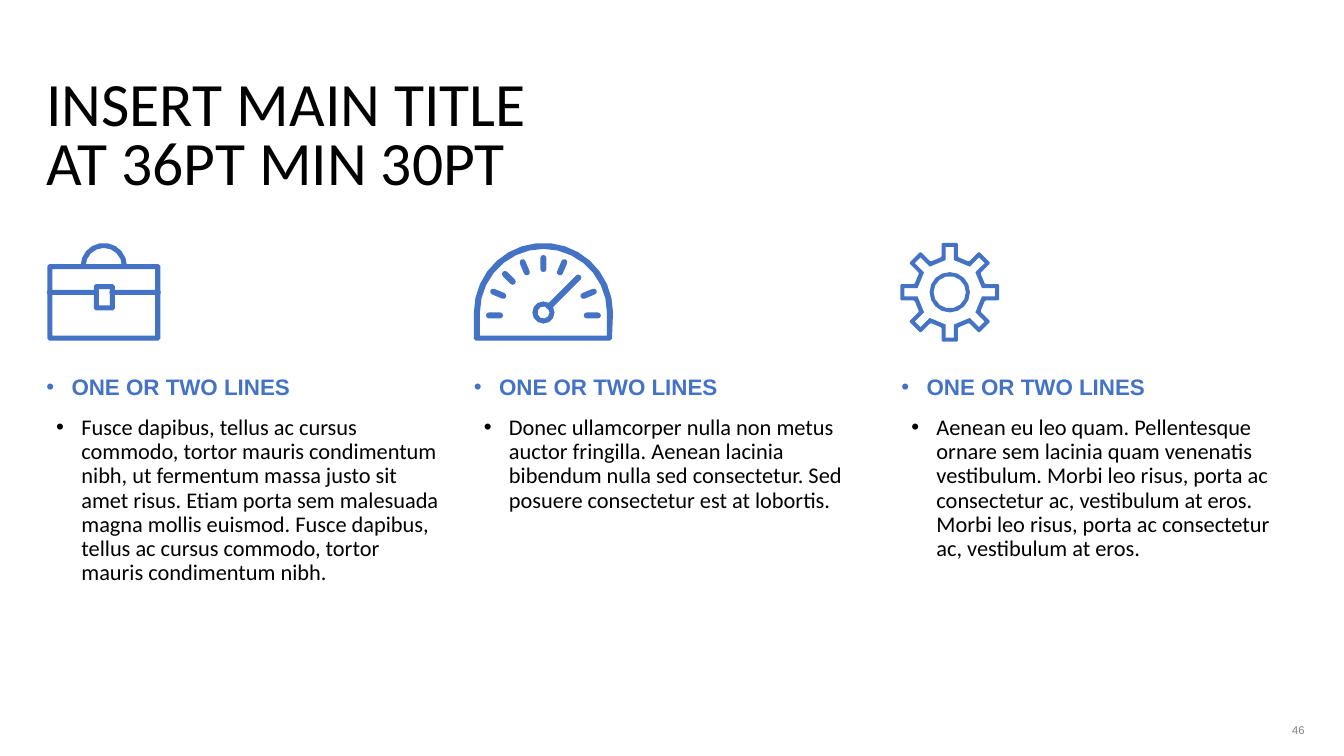
from dataclasses import dataclass
from math import cos, dist, radians, sin, sqrt

from lxml.etree import SubElement
from pptx import Presentation
from pptx.dml.color import RGBColor
from pptx.enum.text import MSO_ANCHOR, MSO_AUTO_SIZE, PP_ALIGN
from pptx.oxml.ns import qn
from pptx.shapes.group import GroupShape
from pptx.slide import Slide
from pptx.text.text import TextFrame
from pptx.util import Inches, Pt

BLUE = RGBColor(0x44, 0x72, 0xC4)
BLACK = RGBColor(0x00, 0x00, 0x00)

Point = tuple[float, float]
Contour = list[Point]

LEFT, PITCH, COLUMN_WIDTH = 0.46, 4.24, 4
HEADING = "ONE OR TWO LINES"


@dataclass
class TextStyle:
    font: str
    size: float
    color: RGBColor
    bold: bool = False


TITLE_STYLE = TextStyle("Calibri", 44, BLACK)
HEADING_STYLE = TextStyle("Arial", 16, BLUE, True)
BODY_STYLE = TextStyle("Calibri", 16, BLACK)
NUMBER_STYLE = TextStyle("Arial", 8, BLACK)

BODIES = [
    "Fusce dapibus, tellus ac cursus commodo, tortor mauris condimentum nibh, "
    "ut fermentum massa justo sit amet risus. Etiam porta sem malesuada magna "
    "mollis euismod. Fusce dapibus, tellus ac cursus commodo, tortor mauris "
    "condimentum nibh.",
    "Donec ullamcorper nulla non metus auctor fringilla. Aenean lacinia bibendum "
    "nulla sed consectetur. Sed posuere consectetur est at lobortis.",
    "Aenean eu leo quam. Pellentesque ornare sem lacinia quam venenatis vestibulum. "
    "Morbi leo risus, porta ac consectetur ac, vestibulum at eros. Morbi leo risus, "
    "porta ac consectetur ac, vestibulum at eros.",
]


def polar(center: Point, radius: float, angle: float) -> Point:
    """Point at an angle in degrees, counted anticlockwise from the right."""
    a = radians(angle)
    return center[0] + radius * cos(a), center[1] - radius * sin(a)


def arc(center: Point, radius: float, start: float, end: float) -> Contour:
    """Points along an arc, more of them where it is longer."""
    steps = max(4, round(abs(end - start) * sqrt(radius) / 10))
    return [polar(center, radius, start + (end - start) * i / steps) for i in range(steps + 1)]


def ring(center: Point, outer: float, inner: float) -> list[Contour]:
    return [arc(center, outer, 0, 360), arc(center, inner, 360, 0)]


def chamfered(corners: Contour, cut: float = 0.02) -> Contour:
    points = []
    for i, (x, y) in enumerate(corners):
        for nx, ny in (corners[i - 1], corners[(i + 1) % len(corners)]):
            share = cut / dist((x, y), (nx, ny))
            points.append((x + (nx - x) * share, y + (ny - y) * share))
    return points


def frame(left: float, top: float, right: float, bottom: float) -> list[Contour]:
    """Rectangle with cut corners and a wall of 0.05 inch."""
    d = 0.05
    outer = [(left, top), (right, top), (right, bottom), (left, bottom)]
    inner = [(left + d, top + d), (left + d, bottom - d),
             (right - d, bottom - d), (right - d, top + d)]
    return [chamfered(outer), inner]


def bar(center: Point, angle: float, start: float, end: float, width: float = 0.06) -> Contour:
    """Round-ended bar running outwards from a center."""
    return (arc(polar(center, end, angle), width / 2, angle - 90, angle + 90)
            + arc(polar(center, start, angle), width / 2, angle + 90, angle + 270))


def draw_part(group: GroupShape, *contours: Contour) -> None:
    emu = [[(Inches(x), Inches(y)) for x, y in contour] for contour in contours]
    fb = group.shapes.build_freeform(*emu[0][0], scale=1.0)
    fb.add_line_segments(emu[0][1:], close=True)
    for contour in emu[1:]:
        fb.move_to(*contour[0])
        fb.add_line_segments(contour[1:], close=True)
    sp = fb.convert_to_shape()
    sp.shadow.inherit = False
    sp.fill.solid()
    sp.fill.fore_color.rgb = BLUE
    sp.line.fill.background()


def draw_briefcase(group: GroupShape) -> None:
    middle = (1.03, 2.9)
    for angle in (0, 180):
        draw_part(group, bar(middle, angle, 0.08, 0.54, 0.05))
    draw_part(group, *frame(0.47, 2.62, 1.59, 3.38))
    draw_part(group, *frame(0.93, 2.82, 1.14, 3.08))
    handle = (1.03, 2.64)
    draw_part(group, arc(handle, 0.23, 0, 180) + arc(handle, 0.18, 180, 0))


def draw_gauge(group: GroupShape) -> None:
    hub = (5.39, 3.1)
    draw_part(group, *ring(hub, 0.11, 0.06))
    draw_part(group, bar(hub, 45, 0.08, 0.49))
    for step in (0, 1, 3, 4, 5, 6, 7, 8):
        center = (hub[0], 3.13) if step in (0, 8) else hub
        draw_part(group, bar(center, step * 22.5, 0.43, 0.54))
    base = [(4.7, 3.36), (4.72, 3.38), (6.05, 3.38), (6.07, 3.36)]
    inner = arc(hub, 0.63, 180, 0) + [(6.02, 3.33), (4.76, 3.33)]
    draw_part(group, base + arc(hub, 0.69, 0, 180), inner)


def gear_outline(center: Point, root: float, tip: float, half: float) -> Contour:
    x, y = center
    points = []
    for tooth in range(8):
        a = radians(45 * tooth)
        for along, across in ((root, -half), (tip, -half), (tip, half), (root, half)):
            points.append((x + along * cos(a) - across * sin(a),
                           y + along * sin(a) + across * cos(a)))
    return points


def draw_gear(group: GroupShape) -> None:
    center = (9.42, 2.9)
    outer = chamfered(gear_outline(center, 0.35, 0.49, 0.08), 0.01)
    draw_part(group, outer, gear_outline(center, 0.32, 0.45, 0.04)[::-1])
    draw_part(group, *ring(center, 0.2, 0.16))


def format_frame(tf: TextFrame, anchor: MSO_ANCHOR, inset_x: float, inset_y: float) -> None:
    tf.word_wrap = True
    tf.auto_size = MSO_AUTO_SIZE.NONE
    tf.vertical_anchor = anchor
    tf.margin_left = tf.margin_right = Inches(inset_x)
    tf.margin_top = tf.margin_bottom = Inches(inset_y)


def add_run(p, text: str, style: TextStyle):
    r = p.add_run()
    r.text = text
    r.font.name = style.font
    r.font.size = Pt(style.size)
    r.font.bold = style.bold
    r.font.color.rgb = style.color
    return r


def add_bullet(slide: Slide, left: float, top: float, height: float, text: str,
               style: TextStyle, anchor: MSO_ANCHOR, inset_x: float, inset_y: float) -> None:
    box = slide.shapes.add_textbox(Inches(left), Inches(top), Inches(COLUMN_WIDTH), Inches(height))
    format_frame(box.text_frame, anchor, inset_x, inset_y)
    p = box.text_frame.paragraphs[0]
    p.line_spacing = 0.9
    p.space_before = Pt(10)
    pPr = p._p.get_or_add_pPr()
    pPr.set("marL", str(Inches(0.25)))
    pPr.set("indent", str(-Inches(0.25)))
    SubElement(pPr, qn("a:buFont")).set("typeface", "Arial")
    SubElement(pPr, qn("a:buChar")).set("char", "•")
    add_run(p, text, style)


def add_title(slide: Slide) -> None:
    title = slide.shapes.title
    title.left, title.top = Inches(0.46), Inches(0.32)
    title.width, title.height = Inches(8.01), Inches(1.64)
    format_frame(title.text_frame, MSO_ANCHOR.BOTTOM, 0, 0)
    p = title.text_frame.paragraphs[0]
    p.alignment = PP_ALIGN.LEFT
    p.line_spacing = 0.8
    add_run(p, "INSERT MAIN TITLE", TITLE_STYLE)
    p.add_line_break()
    add_run(p, "AT 36PT MIN 30PT", TITLE_STYLE)


def add_page_number(slide: Slide) -> None:
    box = slide.shapes.add_textbox(Inches(12.7), Inches(7.15), Inches(0.24), Inches(0.18))
    format_frame(box.text_frame, MSO_ANCHOR.MIDDLE, 0, 0.07)
    p = box.text_frame.paragraphs[0]
    p.alignment = PP_ALIGN.RIGHT
    r = add_run(p, "46", NUMBER_STYLE)
    color = r._r.get_or_add_rPr().find(".//" + qn("a:srgbClr"))
    SubElement(color, qn("a:alpha")).set("val", "50000")


def main() -> None:
    prs = Presentation()
    prs.slide_width, prs.slide_height = Inches(13.33), Inches(7.5)
    slide = prs.slides.add_slide(prs.slide_layouts[5])
    add_title(slide)
    for i, body in enumerate(BODIES):
        left = LEFT + i * PITCH
        add_bullet(slide, left, 3.54, 0.43, HEADING, HEADING_STYLE, MSO_ANCHOR.BOTTOM, 0, 0)
        add_bullet(slide, left, 4.08, 2.06, body, BODY_STYLE, MSO_ANCHOR.TOP, 0.1, 0.05)
    for draw_icon in (draw_briefcase, draw_gauge, draw_gear):
        draw_icon(slide.shapes.add_group_shape())
    add_page_number(slide)
    prs.save("out.pptx")


if __name__ == "__main__":
    main()
